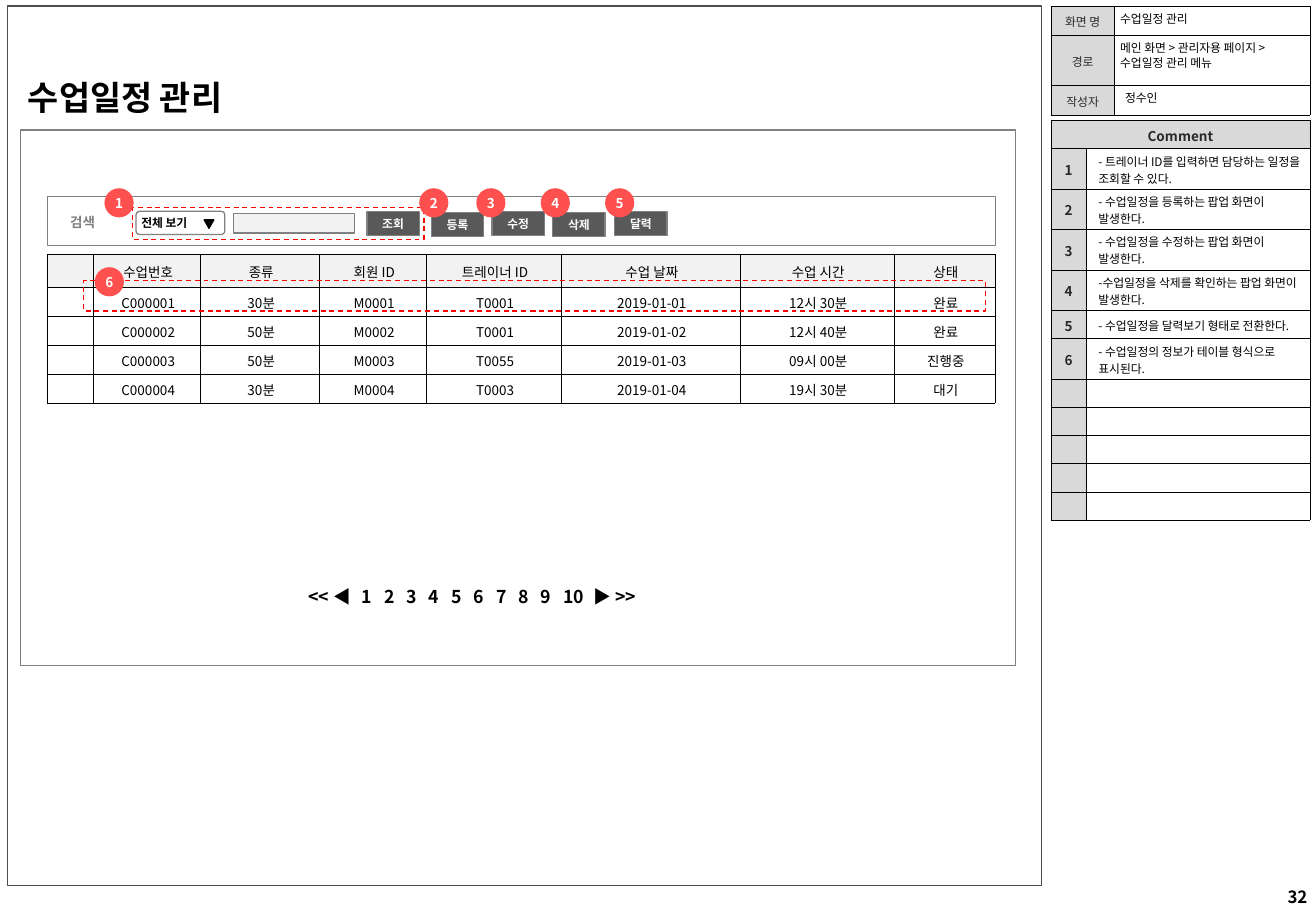
import dataclasses

import lxml.etree
import pptx
import pptx.dml.color
import pptx.enum.dml
import pptx.enum.shapes
import pptx.enum.text
import pptx.oxml.ns
import pptx.util

SHAPE = pptx.enum.shapes.MSO_SHAPE
ALIGN = pptx.enum.text.PP_ALIGN
ANCHOR = pptx.enum.text.MSO_ANCHOR
qn = pptx.oxml.ns.qn


@dataclasses.dataclass(frozen=True)
class Theme:
    """Colours, font and type sizes of the screen specification."""

    font: str = "Noto Sans CJK KR"
    black: str = "000000"
    white: str = "FFFFFF"
    label: str = "292929"
    frame: str = "4D4D4D"
    outline: str = "808080"
    button: str = "595959"
    header: str = "D9D9D9"
    pale: str = "F2F2F2"
    badge: str = "FF5050"
    marker: str = "FF0000"
    small: float = 7
    body: float = 8
    number: float = 10
    pager: float = 10.5
    title: float = 20
    line: float = 0.75
    border: float = 0.25


THEME = Theme()


def rgb(value):
    """Return a colour object for a hex value."""
    return pptx.dml.color.RGBColor.from_string(value)


def format_text(frame, text, size=THEME.small, color=THEME.black, bold=False, align=ALIGN.LEFT,
                anchor=ANCHOR.TOP, insets=(7.2, 3.6, 7.2, 3.6), wrap=True):
    """Fill a text frame and format all of its paragraphs; insets are in points."""
    frame.text = text
    frame.word_wrap = wrap
    frame.auto_size = pptx.enum.text.MSO_AUTO_SIZE.NONE
    frame.vertical_anchor = anchor
    sides = ("margin_left", "margin_top", "margin_right", "margin_bottom")
    for side, inset in zip(sides, insets):
        setattr(frame, side, pptx.util.Pt(inset))
    for paragraph in frame.paragraphs:
        paragraph.alignment = align
        for run in paragraph.runs:
            run.font.size = pptx.util.Pt(size)
            run.font.bold = bold
            run.font.color.rgb = rgb(color)
            run.font.name = THEME.font
            lxml.etree.SubElement(run.font._element, qn("a:ea"), typeface=THEME.font)


class Screen:
    """Draws elements on a slide whose grid has ten columns and ten rows to the inch."""

    def __init__(self, presentation, theme):
        """Add a title-only slide."""
        self.theme = theme
        self.slide = presentation.slides.add_slide(presentation.slide_layouts[5])

    def grid(self, *cells):
        """Convert grid columns or rows to lengths."""
        return [pptx.util.Inches(cell / 10) for cell in cells]

    def title(self, text, at):
        """Place and format the title placeholder."""
        title = self.slide.shapes.title
        title.left, title.top, title.width, title.height = self.grid(*at)
        format_text(title.text_frame, text, size=self.theme.title, bold=True, wrap=False)

    def text(self, text, at, **style):
        """Add a text box and return its first paragraph."""
        box = self.slide.shapes.add_textbox(*self.grid(*at))
        format_text(box.text_frame, text, **style)
        return box.text_frame.paragraphs[0]

    def shape(self, kind, at, fill=None, line=None, text=None, dashed=False, **style):
        """Add a preset shape with optional text."""
        shape = self.slide.shapes.add_shape(kind, *self.grid(*at))
        shape.shadow.inherit = False
        if fill:
            shape.fill.solid()
            shape.fill.fore_color.rgb = rgb(fill)
        else:
            shape.fill.background()
        if line:
            shape.line.color.rgb = rgb(line)
            shape.line.width = pptx.util.Pt(self.theme.line)
            if dashed:
                shape.line.dash_style = pptx.enum.dml.MSO_LINE.DASH
        else:
            shape.line.fill.background()
        if text:
            format_text(shape.text_frame, text, anchor=ANCHOR.MIDDLE, **style)
        return shape

    def button(self, text, left, top):
        """Add a dark command button."""
        self.shape(SHAPE.RECTANGLE, (left, top, 4.3, 2), self.theme.button, self.theme.outline, text,
                   color=self.theme.white, bold=True, align=ALIGN.CENTER, insets=(0, 3.6, 0, 3.6))

    def badge(self, text, left, top):
        """Add a numbered round badge."""
        self.shape(SHAPE.OVAL, (left, top, 2.4, 2.4), self.theme.badge, None, text, wrap=False,
                   size=self.theme.body, color=self.theme.white, bold=True, align=ALIGN.CENTER)

    def table(self, left, top, columns, heights, rows, style):
        """Add a bordered table; style(row, column) gives a fill and a text format."""
        size = self.grid(left, top, sum(columns), sum(heights))
        table = self.slide.shapes.add_table(len(rows), len(columns), *size).table
        table.first_row = table.horz_banding = False
        for column, width in zip(table.columns, self.grid(*columns)):
            column.width = width
        for row, height in zip(table.rows, self.grid(*heights)):
            row.height = height
        for i, values in enumerate(rows):
            for j, value in enumerate(values):
                self.cell(table.cell(i, j), value, *style(i, j))
        return table

    def cell(self, cell, value, fill, text_style):
        """Fill one table cell and draw its borders."""
        insets = text_style.pop("insets", (7.2, 2, 5.8, 1))
        format_text(cell.text_frame, value, **text_style)
        cell.margin_left, cell.margin_top, cell.margin_right, cell.margin_bottom = map(pptx.util.Pt, insets)
        cell.vertical_anchor = ANCHOR.MIDDLE
        if not value:
            paragraph = cell.text_frame.paragraphs[0]
            lxml.etree.SubElement(paragraph._p, qn("a:endParaRPr"), sz=str(self.theme.small * 100))
        properties = cell._tc.get_or_add_tcPr()
        for side in ("lnL", "lnR", "lnT", "lnB"):
            line = lxml.etree.SubElement(properties, qn("a:" + side), w=str(pptx.util.Pt(self.theme.border)))
            solid = lxml.etree.SubElement(line, qn("a:solidFill"))
            lxml.etree.SubElement(solid, qn("a:srgbClr"), val=self.theme.black)
        if fill:
            cell.fill.solid()
            cell.fill.fore_color.rgb = rgb(fill)
        else:
            cell.fill.background()

    def pager(self, at):
        """Add the page navigation on even tab stops."""
        pages = [str(page) for page in range(1, 11)]
        paragraph = self.text("\t".join(["<< ◀", *pages, "▶ >>"]), at, size=self.theme.pager, bold=True)
        tabs = lxml.etree.SubElement(paragraph._p.get_or_add_pPr(), qn("a:tabLst"))
        for stop in self.grid(*(4.4 + 1.84 * i for i in range(len(pages))), 23.5):
            lxml.etree.SubElement(tabs, qn("a:tab"), pos=str(stop), algn="l")


def label_style(size, bold):
    """Return a cell style rule with grey labels in the first column."""
    def style(row, column):
        if column == 0:
            return THEME.header, dict(size=size, bold=bold, color=THEME.label, align=ALIGN.CENTER,
                                      insets=(0, 2, 0, 1))
        return None, {}
    return style


def schedule_style(row, column):
    """Return the cell style of the schedule table."""
    return THEME.white if row else THEME.pale, dict(size=THEME.body, align=ALIGN.CENTER)


COMMENTS = ["- 트레이너 ID를 입력하면 담당하는 일정을 조회할 수 있다.", "- 수업일정을 등록하는 팝업 화면이 발생한다.",
            "- 수업일정을 수정하는 팝업 화면이 발생한다.", "-수업일정을 삭제를 확인하는 팝업 화면이 발생한다.",
            "- 수업일정을 달력보기 형태로 전환한다.", "- 수업일정의 정보가 테이블 형식으로 표시된다."]
SCHEDULE = [["", "수업번호", "종류", "회원 ID", "트레이너 ID", "수업 날짜", "수업 시간", "상태"],
            ["", "C000001", "30분", "M0001", "T0001", "2019-01-01", "12시 30분", "완료"],
            ["", "C000002", "50분", "M0002", "T0001", "2019-01-02", "12시 40분", "완료"],
            ["", "C000003", "50분", "M0003", "T0055", "2019-01-03", "09시 00분", "진행중"],
            ["", "C000004", "30분", "M0004", "T0003", "2019-01-04", "19시 30분", "대기"]]
BUTTONS = [("조회", 30.2, 17.4), ("등록", 35.5, 17.5), ("수정", 40.5, 17.4), ("삭제", 45.5, 17.5), ("달력", 50.6, 17.4)]
BADGES = [("1", 8.6, 15.5), ("2", 34.5, 15.5), ("3", 39.2, 15.5), ("4", 44.5, 15.5), ("5", 49.8, 15.5), ("6", 7.8, 22)]


def main():
    """Build the class schedule management screen."""
    presentation = pptx.Presentation()
    presentation.slide_width = pptx.util.Inches(10.83)
    presentation.slide_height = pptx.util.Inches(7.5)
    screen = Screen(presentation, THEME)
    screen.title("수업일정 관리", (1.3, 5.8, 19.8, 4.4))
    screen.shape(SHAPE.RECTANGLE, (0.6, 0.5, 85.1, 72.4), line=THEME.frame)
    screen.table(86.5, 0.5, [5.2, 16.1], [2.4, 4.15, 2.4], [["화면 명", ""], ["경로", ""], ["작성자", ""]],
                 label_style(THEME.small, False))
    screen.text("32", (100.1, 72.5, 8, 2.7), size=THEME.number, bold=True, align=ALIGN.RIGHT,
                insets=(0, 3.6, 3.6, 3.6))
    screen.text("정수인", (91.6, 7, 16.5, 2.2))
    screen.text("수업일정 관리", (91.2, 0.5, 16.5, 2.2))
    screen.text("메인 화면 > 관리자용 페이지 >\n수업일정 관리 메뉴", (91.2, 2.9, 16.5, 3.4))
    notes = [[str(i), comment] for i, comment in enumerate(COMMENTS, 1)]
    heights = [2.33] + [3.33] * 4 + [2.33, 3.33] + [2.33] * 5
    comments = screen.table(86.5, 9.9, [2.9, 18.4], heights, [["Comment", ""], *notes, *[["", ""]] * 5],
                            label_style(THEME.body, True))
    comments.cell(0, 0).merge(comments.cell(0, 1))
    screen.shape(SHAPE.RECTANGLE, (1.7, 10.7, 81.9, 44.1), THEME.white, THEME.outline)
    screen.table(3.9, 20.95, [3.8, 8.8, 9.8, 8.8, 11.1, 14.7, 12.7, 8.3], [2.7] + [2.38] * 4, SCHEDULE,
                 schedule_style)
    screen.shape(SHAPE.RECTANGLE, (3.9, 16.2, 78, 4), THEME.white, THEME.outline)
    dropdown = screen.shape(SHAPE.ROUNDED_RECTANGLE, (11.2, 17.4, 7.3, 1.9), None, THEME.outline, "전체 보기",
                            bold=True, insets=(2.5, 3.6, 0, 3.6))
    dropdown.adjustments[0] = 0.15
    screen.text("검색", (4.8, 17.1, 10, 2.3), size=THEME.body, color=THEME.outline, bold=True, anchor=ANCHOR.MIDDLE)
    arrow = screen.shape(SHAPE.ISOSCELES_TRIANGLE, (16.8, 18.1, 0.8, 0.7), THEME.black, THEME.black)
    arrow.rotation = 180
    screen.shape(SHAPE.RECTANGLE, (19.2, 17.6, 10, 1.6), THEME.pale, THEME.outline)
    for button in BUTTONS:
        screen.button(*button)
    for area in ((10.9, 17.1, 24, 2.6), (6.9, 23.1, 74.2, 2.5)):
        screen.shape(SHAPE.RECTANGLE, area, line=THEME.marker, dashed=True)
    for badge in BADGES:
        screen.badge(*badge)
    screen.pager((24.4, 47.7, 37, 2.9))
    presentation.save("out.pptx")


if __name__ == "__main__":
    main()
